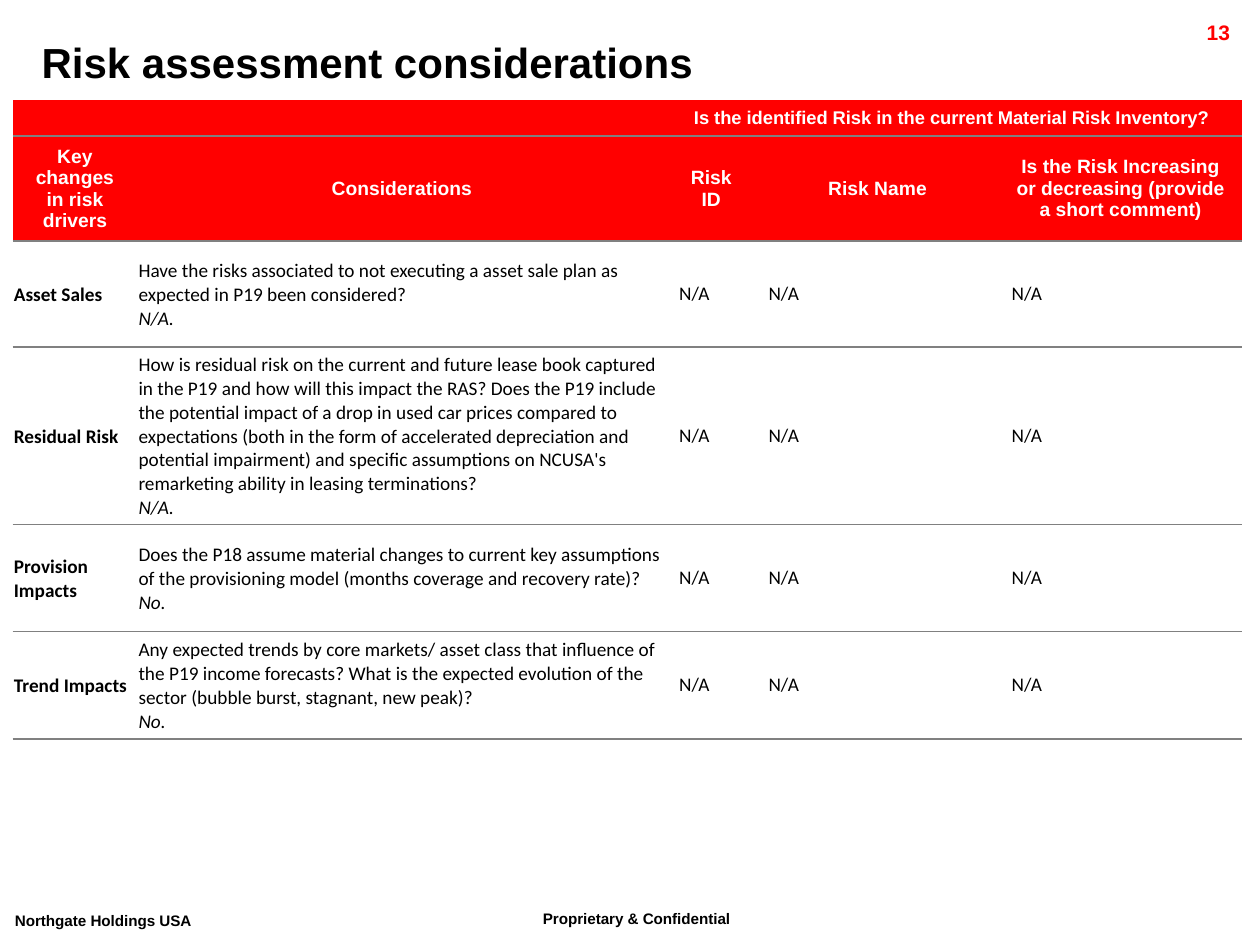
from pptx import Presentation
from pptx.dml.color import RGBColor
from pptx.enum.text import MSO_ANCHOR, PP_ALIGN
from pptx.oxml.ns import qn
from pptx.util import Inches, Pt
from lxml import etree

LEFT, CENTER, RIGHT = PP_ALIGN.LEFT, PP_ALIGN.CENTER, PP_ALIGN.RIGHT
TOP, MIDDLE = MSO_ANCHOR.TOP, MSO_ANCHOR.MIDDLE
TITLE_ONLY = 5

COLORS = {"red": "FF0000", "white": "FFFFFF", "black": "000000", "gray": "808080"}
COLUMN_WIDTHS = [0.99, 4.2, 0.71, 1.93, 1.93]
ROW_HEIGHTS = [0.29, 0.83, 0.84, 1.41, 0.85, 0.85]
TIGHT = (0.01, 0.01, 0.01, 0)
ROOMY = (0.1, 0.1, 0.1, 0.1)
HEADER_INSETS = (0.1, 0.05, 0.1, 0.05)

BANNER = "Is the identified Risk in the current Material Risk Inventory? "
HEADERS = [
    "Key changes in risk drivers",
    "Considerations",
    "Risk ID",
    "Risk Name",
    "Is the Risk Increasing or decreasing (provide a short comment)",
]
DRIVERS = [
    ("Asset Sales",
     "Have the risks associated to not executing a asset sale plan as expected "
     "in P19 been considered?", "N/A."),
    ("Residual Risk",
     "How is residual risk on the current and future lease book captured in the "
     "P19 and how will this impact the RAS? Does the P19 include the potential "
     "impact of a drop in used car prices compared to expectations (both in the "
     "form of accelerated depreciation and potential impairment) and specific "
     "assumptions on NCUSA's remarketing ability in leasing terminations?", "N/A."),
    ("Provision Impacts",
     "Does the P18 assume material changes to current key assumptions of the "
     "provisioning model (months coverage and recovery rate)?", "No."),
    ("Trend Impacts",
     "Any expected trends by core markets/ asset class that influence of the P19 "
     "income forecasts? What is the expected evolution of the sector (bubble "
     "burst, stagnant, new peak)?", "No."),
]


def write(para, text, color="black", align=LEFT, **formats):
    """Fill a paragraph with one formatted span and return the span."""
    para.alignment = align
    span = para.add_run()
    span.text = text
    for name, value in formats.items():
        setattr(span.font, name, value)
    span.font.color.rgb = RGBColor.from_string(COLORS[color])
    return span


def set_insets(target, insets):
    """Set left, top, right and bottom margins in inches."""
    for side, inset in zip(("left", "top", "right", "bottom"), insets):
        setattr(target, f"margin_{side}", Inches(inset))


def add_title(page, text):
    """Place and write the slide title."""
    box = page.shapes.title
    box.left, box.top, box.width, box.height = map(Inches, (0.23, 0.24, 9.82, 0.5))
    box.text_frame.vertical_anchor = MIDDLE
    write(box.text_frame.paragraphs[0], text, name="Arial", size=Pt(24), bold=True)


def add_label(page, text, place, size, wrap=True, **formats):
    """Add a bold one-line text box and return its span."""
    box = page.shapes.add_textbox(*map(Inches, place))
    box.text_frame.word_wrap = wrap
    box.text_frame.vertical_anchor = TOP
    set_insets(box.text_frame, HEADER_INSETS)
    return write(box.text_frame.paragraphs[0], text,
                 name="Arial", size=Pt(size), bold=True, **formats)


def add_footer(page, text, place, wrap=True):
    """Add a raised footer label."""
    span = add_label(page, text, place, 15, wrap)
    span._r.get_or_add_rPr().set("baseline", "30000")


def style_cell(cell, fill, insets):
    """Give a cell its rules, fill, margins and anchor."""
    props = cell._tc.get_or_add_tcPr()
    for edge in ("lnL", "lnR", "lnT", "lnB"):
        line = etree.SubElement(props, qn(f"a:{edge}"), w=str(Pt(1)))
        if edge in ("lnT", "lnB"):
            solid = etree.SubElement(line, qn("a:solidFill"))
            etree.SubElement(solid, qn("a:srgbClr"), val=COLORS["gray"])
        else:
            etree.SubElement(line, qn("a:noFill"))
    cell.fill.solid()
    cell.fill.fore_color.rgb = RGBColor.from_string(COLORS[fill])
    cell.vertical_anchor = MIDDLE
    set_insets(cell, insets)


def fill_headers(table):
    """Write the banner and the column headings."""
    formats = {"color": "white", "align": CENTER, "name": "Arial", "bold": True}
    for column, text in enumerate(HEADERS):
        banner, heading = table.cell(0, column), table.cell(1, column)
        for cell in (banner, heading):
            style_cell(cell, "red", HEADER_INSETS)
        write(heading.text_frame.paragraphs[0], text, size=Pt(11), **formats)
        if column != 2:
            para = banner.text_frame.paragraphs[0]
            etree.SubElement(para._p, qn("a:endParaRPr"), sz="1050")
    for cell in table.rows[0].cells:
        lines = cell._tc.tcPr
        top = lines.find(qn("a:lnT"))
        top.remove(top[0])
        etree.SubElement(top, qn("a:noFill"))
    table.cell(0, 0).merge(table.cell(0, 1))
    table.cell(0, 2).merge(table.cell(0, 4))
    write(table.cell(0, 2).text_frame.paragraphs[0], BANNER, size=Pt(10.5), **formats)


def fill_driver(table, row, driver, question, answer):
    """Write one risk driver with its question, answer and empty ratings."""
    formats = {"name": "Calibri", "size": Pt(11)}
    contents = [driver, question] + ["N/A"] * 3
    for column, text in enumerate(contents):
        cell = table.cell(row, column)
        style_cell(cell, "white", TIGHT if column < 2 else ROOMY)
        write(cell.text_frame.paragraphs[0], text, bold=column == 0, **formats)
    reply = table.cell(row, 1).text_frame.add_paragraph()
    write(reply, answer, bold=False, italic=True, **formats)


def add_risk_table(page):
    """Build the risk assessment table."""
    place = (0.1, 0.79, sum(COLUMN_WIDTHS), sum(ROW_HEIGHTS))
    frame = page.shapes.add_table(
        len(ROW_HEIGHTS), len(COLUMN_WIDTHS), *map(Inches, place))
    table = frame.table
    table.first_row = table.horz_banding = False
    for column, width in zip(table.columns, COLUMN_WIDTHS):
        column.width = Inches(width)
    for row, height in zip(table.rows, ROW_HEIGHTS):
        row.height = Inches(height)
    fill_headers(table)
    for row, driver in enumerate(DRIVERS, start=2):
        fill_driver(table, row, *driver)


def main():
    """Build and save the slide."""
    deck = Presentation()
    deck.slide_width, deck.slide_height = Inches(10), Inches(7.5)
    page = deck.slides.add_slide(deck.slide_layouts[TITLE_ONLY])
    add_footer(page, "Proprietary & Confidential", (4.21, 7.14, 2.18, 0.35))
    add_footer(page, "Northgate Holdings USA", (0.02, 7.16, 1.91, 0.35), wrap=False)
    add_label(page, "13", (8.91, 0.11, 0.95, 0.24), 12, color="red", align=RIGHT)
    add_title(page, "Risk assessment considerations")
    add_risk_table(page)
    deck.save("out.pptx")


if __name__ == "__main__":
    main()
